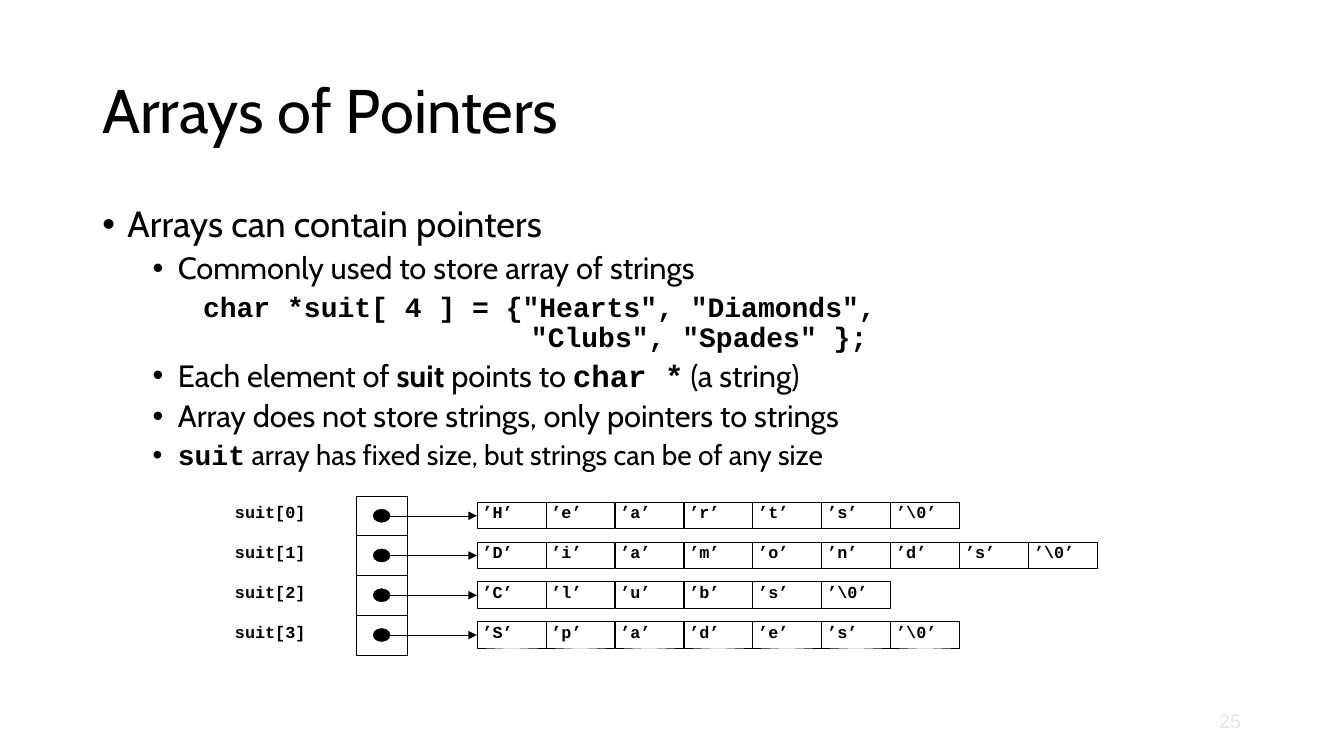
from lxml.etree import SubElement
from pptx import Presentation
from pptx.dml.color import RGBColor
from pptx.enum.shapes import MSO_CONNECTOR, MSO_SHAPE
from pptx.enum.text import MSO_ANCHOR, PP_ALIGN
from pptx.oxml.ns import qn
from pptx.util import Pt

SANS, MONO = "Cabin", "Courier New"
ROW_TOP, ROW_H = 354.2, 28.4
ARRAY_X, ARRAY_W = 254.2, 36.8
DOT_W, DOT_H = 12.2, 9.4
CELL_X, CELL_W, CELL_H, CELL_DY = 340.6, 49.25, 19, 4.4


def style(r, size, font, bold=False, color="000000"):
    r.font.size, r.font.name, r.font.bold = Pt(size), font, bold
    r.font.color.rgb = RGBColor.from_string(color)


def add_box(x, y, w, h, text="", shape=None, fill=None):
    """Add a small code label, or an outlined shape when shape is given."""
    if shape is None:
        sp = s.shapes.add_textbox(Pt(x), Pt(y), Pt(w), Pt(h))
    else:
        sp = s.shapes.add_shape(shape, Pt(x), Pt(y), Pt(w), Pt(h))
        sp.shadow.inherit = False
        sp.line.color.rgb = RGBColor.from_string("000000")
        sp.line.width = Pt(0.25)
        if fill:
            sp.fill.solid()
            sp.fill.fore_color.rgb = RGBColor.from_string(fill)
        else:
            sp.fill.background()
    if text:
        tf = sp.text_frame
        tf.margin_left = Pt(0 if shape is None else 4)
        tf.margin_right = tf.margin_top = tf.margin_bottom = 0
        tf.vertical_anchor = MSO_ANCHOR.TOP
        tf.word_wrap = False
        tf.text = text
        tf.paragraphs[0].alignment = PP_ALIGN.LEFT
        style(tf.paragraphs[0].runs[0], 12, MONO, True)
    return sp


prs = Presentation()
prs.slide_width, prs.slide_height = Pt(960), Pt(540)
s = prs.slides.add_slide(prs.slide_layouts[6])

# Title
tf = s.shapes.add_textbox(Pt(66), Pt(28.8), Pt(828), Pt(104.4)).text_frame
tf.word_wrap = True
tf.vertical_anchor = MSO_ANCHOR.MIDDLE
tf.text = "Arrays of Pointers"
tf.paragraphs[0].line_spacing = 0.9
style(tf.paragraphs[0].runs[0], 44, SANS)

# Bullets: left margin, bulleted or not, runs of (text, size, font, bold)
bullets = [
    (18, True, [("Arrays can contain pointers", 26, SANS, False)]),
    (54, True, [("Commonly used to store array of strings", 22, SANS, False)]),
    (90, False, [('char *suit[ 4 ] = {"Hearts", "Diamonds",\v'
                  '                  "Clubs", "Spades" };', 20, MONO, True)]),
    (54, True, [("Each element of ", 22, SANS, False), ("suit", 22, SANS, True),
                (" points to ", 22, SANS, False), ("char *", 22, MONO, True),
                (" (a string)", 22, SANS, False)]),
    (54, True, [("Array does not store strings, only pointers to strings", 22, SANS, False)]),
    (54, True, [("suit", 20, MONO, True),
                (" array has fixed size, but strings can be of any size", 20, SANS, False)]),
]
tf = s.shapes.add_textbox(Pt(66), Pt(144), Pt(828), Pt(342.7)).text_frame
tf.word_wrap = True
for i, (margin, bulleted, runs) in enumerate(bullets):
    p = tf.add_paragraph() if i else tf.paragraphs[0]
    p.line_spacing = 0.9
    p.space_before = Pt(5 if i else 0)
    pPr = p._p.get_or_add_pPr()
    pPr.set("marL", str(Pt(margin)))
    pPr.set("indent", str(-Pt(18)))
    if bulleted:
        SubElement(pPr, qn("a:buFont")).set("typeface", "Arial")
        SubElement(pPr, qn("a:buChar")).set("char", "•")
    else:
        SubElement(pPr, qn("a:buNone"))
    for text, size, font, bold in runs:
        for j, line in enumerate(text.split("\v")):
            if j:
                p.add_line_break()
            r = p.add_run()
            r.text = line
            style(r, size, font, bold)

# Pointer array and the strings it points to
for i, word in enumerate(["Hearts", "Diamonds", "Clubs", "Spades"]):
    top = ROW_TOP + i * ROW_H
    middle = top + ROW_H / 2
    dot_x = ARRAY_X + (ARRAY_W - DOT_W) / 2
    add_box(167.8, top + CELL_DY, 90, 22, f"suit[{i}]")
    add_box(ARRAY_X, top, ARRAY_W, ROW_H, shape=MSO_SHAPE.RECTANGLE)
    add_box(dot_x, middle - DOT_H / 2, DOT_W, DOT_H, shape=MSO_SHAPE.OVAL, fill="000000")

    arrow = s.shapes.add_connector(MSO_CONNECTOR.STRAIGHT, Pt(dot_x + DOT_W), Pt(middle),
                                   Pt(CELL_X), Pt(middle))
    arrow.line.color.rgb = RGBColor.from_string("000000")
    arrow.line.width = Pt(0.25)
    SubElement(arrow.line._get_or_add_ln(), qn("a:tailEnd")).set("type", "triangle")
    SubElement(arrow._element.spPr, qn("a:effectLst"))

    for j, char in enumerate([*word, "\\0"]):
        add_box(CELL_X + j * CELL_W, top + CELL_DY, CELL_W, CELL_H, f"’{char}’",
                MSO_SHAPE.RECTANGLE)

# Slide number
tf = s.shapes.add_textbox(Pt(820), Pt(502), Pt(73.6), Pt(26)).text_frame
tf.word_wrap = True
tf.vertical_anchor = MSO_ANCHOR.MIDDLE
tf.text = "25"
tf.paragraphs[0].alignment = PP_ALIGN.RIGHT
style(tf.paragraphs[0].runs[0], 14, "Arial", color="E6E6E6")

prs.save("out.pptx")
